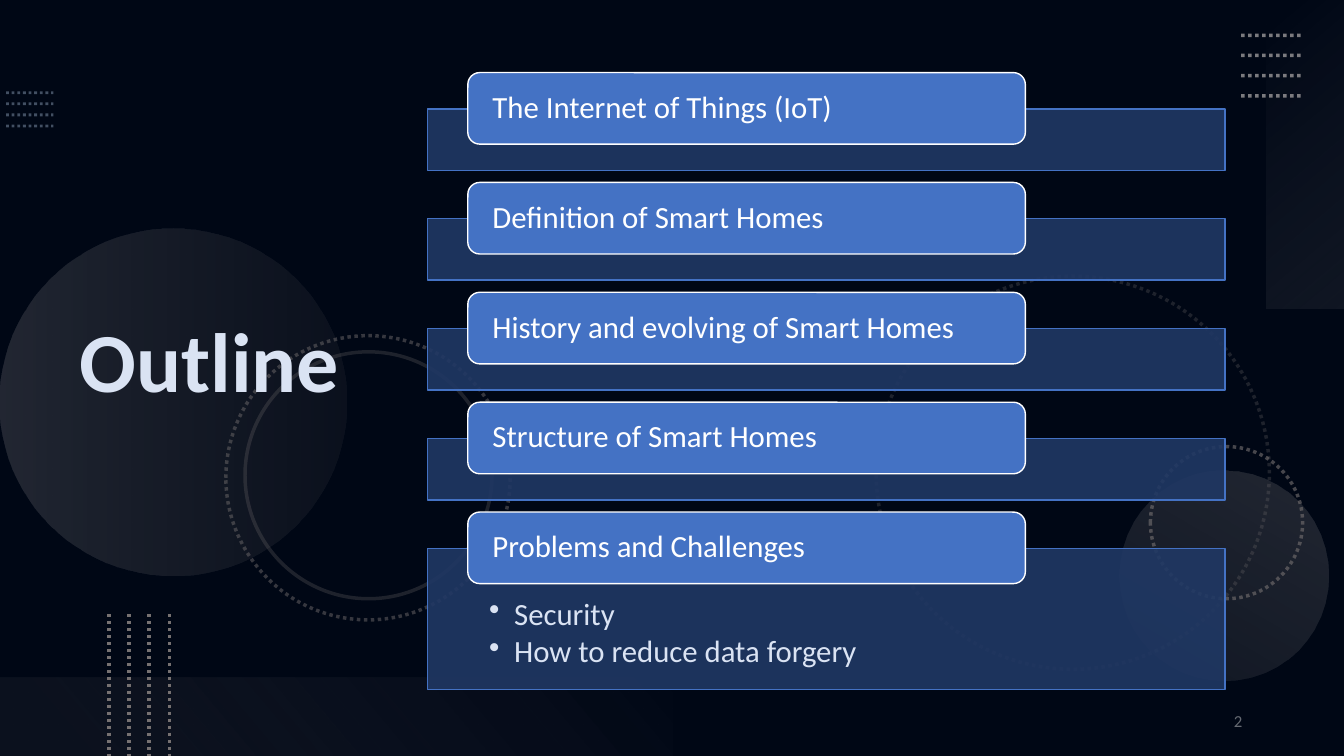
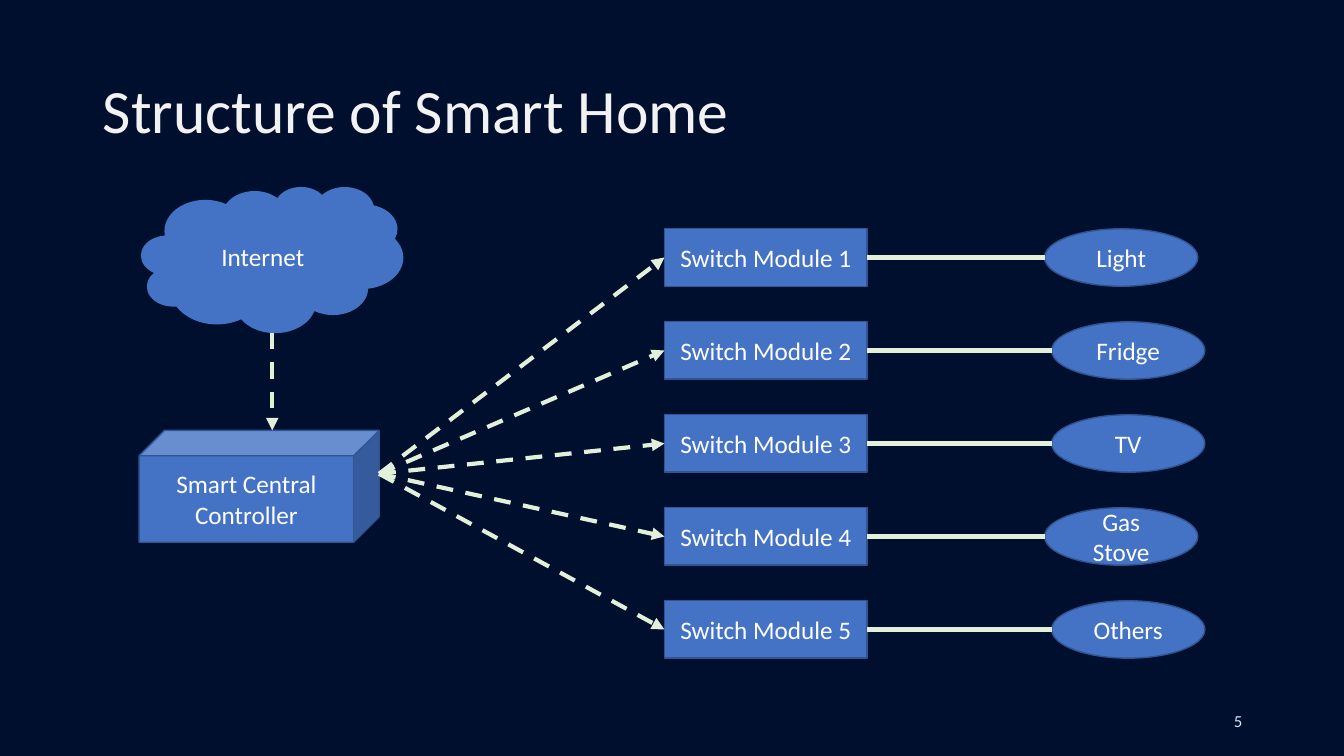
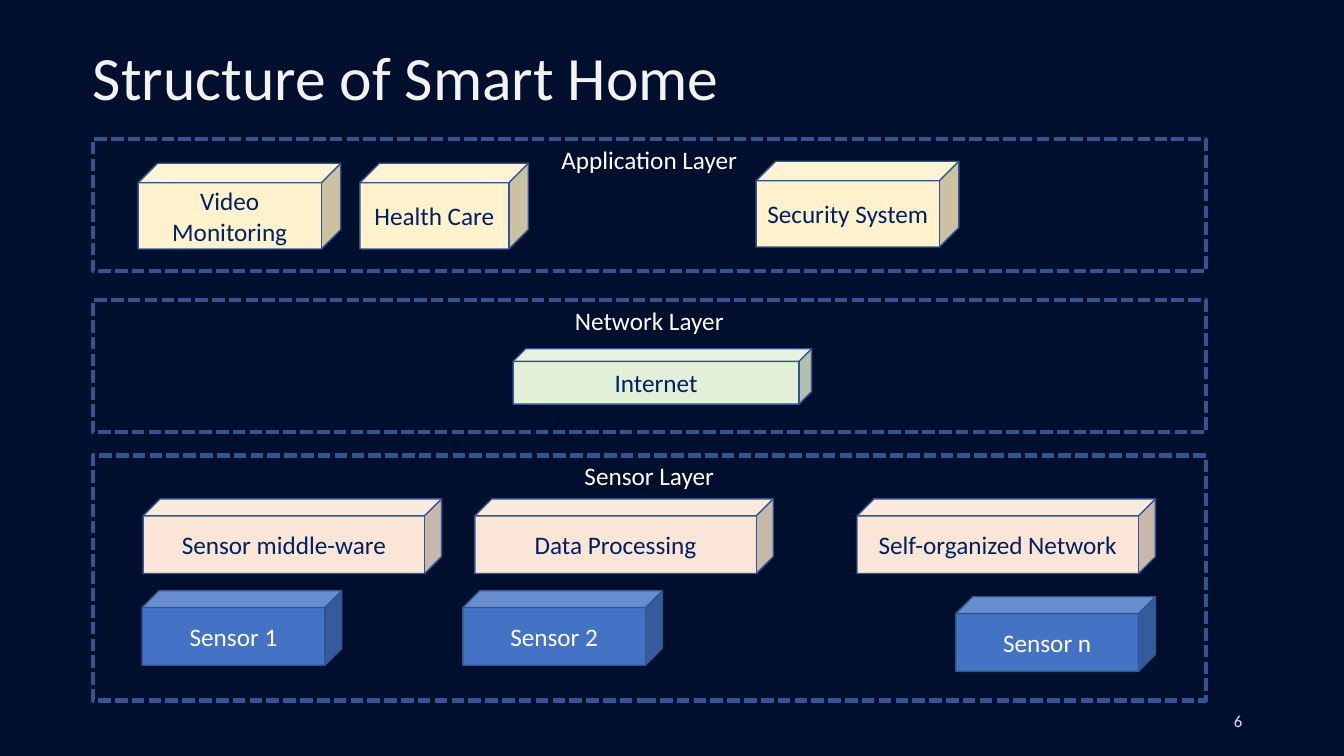
from pptx import Presentation
from pptx.dml.color import RGBColor
from pptx.enum.dml import MSO_LINE as DASH
from pptx.enum.shapes import MSO_CONNECTOR, MSO_SHAPE as SHAPE
from pptx.enum.text import MSO_ANCHOR as ANCHOR, PP_ALIGN as ALIGN
from pptx.oxml.ns import qn
from pptx.util import Emu, Pt
from lxml.etree import SubElement

PX = 9144
W, H = 1333, 750
FONT = "Calibri"
NAVY, BLUE, EDGE, BAR = "000F2E", "4472C4", "325491", "203864"
WHITE, TITLE, PALE, INK = "FFFFFF", "F2F2F2", "DAE3F3", "002060"
CREAM, GREEN, PEACH = "FFF2CC", "E2F0D9", "FBE5D6"
GRAY, SILVER, STEEL, SMOKE = "767171", "AFABAB", "8497B0", "F5F5F5"
CUBE_ADJ = [0.227]


def px(n):
    return Emu(round(n * PX))


def rgb(c):
    return RGBColor.from_string(c)


def set_alpha(el, *alphas):
    for clr, a in zip(el.iter(qn("a:srgbClr")), alphas):
        SubElement(clr, qn("a:alpha")).set("val", str(a * 1000))


def style_line(line, color, width, dash=None, alpha=100):
    line.color.rgb = rgb(color)
    line.width = Pt(width)
    if dash:
        line.dash_style = dash
    if alpha < 100:
        set_alpha(line._get_or_add_ln(), alpha)


def add_run(p, text, size, color, bold=False):
    r = p.add_run()
    r.text = text
    r.font.name, r.font.size, r.font.bold = FONT, Pt(size), bold
    r.font.color.rgb = rgb(color)


def write(sp, text, size=18, color=WHITE, align=ALIGN.CENTER, anchor=ANCHOR.MIDDLE,
          spacing=None, bold=False):
    tf = sp.text_frame
    tf.word_wrap = True
    tf.vertical_anchor = anchor
    p = tf.paragraphs[0]
    p.alignment = align
    if spacing:
        p.line_spacing = spacing
    add_run(p, text, size, color, bold)


def set_insets(tf, left, top, right, bottom):
    tf.margin_left, tf.margin_top = px(left), px(top)
    tf.margin_right, tf.margin_bottom = px(right), px(bottom)


def add_shape(s, kind, box, fill=None, alpha=100, line=None, adj=()):
    sp = s.shapes.add_shape(kind, *map(px, box))
    sp.shadow.inherit = False
    for i, a in enumerate(adj):
        sp.adjustments[i] = a
    if fill:
        sp.fill.solid()
        sp.fill.fore_color.rgb = rgb(fill)
        if alpha < 100:
            set_alpha(sp._element.spPr, alpha)
    else:
        sp.fill.background()
    if line:
        style_line(sp.line, *line)
    else:
        sp.line.fill.background()
    return sp


def add_gradient(s, kind, box, stops, angle):
    sp = add_shape(s, kind, box)
    sp.fill.gradient()
    sp.fill.gradient_angle = (360 - angle) % 360
    for stop, (pos, color, alpha) in zip(sp.fill.gradient_stops, stops):
        stop.position = pos
        stop.color.rgb = rgb(color)
    set_alpha(sp._element.spPr, *[alpha for pos, color, alpha in stops])


def add_node(s, kind, box, text, fill=BLUE, color=WHITE, adj=()):
    sp = add_shape(s, kind, box, fill, line=(EDGE, 1), adj=adj)
    write(sp, text, color=color)
    return sp


def add_line(s, start, end, *line, arrow=False):
    c = s.shapes.add_connector(MSO_CONNECTOR.STRAIGHT, *map(px, (*start, *end)))
    style_line(c.line, *line)
    if arrow:
        SubElement(c.line._get_or_add_ln(), qn("a:tailEnd")).set("type", "triangle")
    SubElement(c._element.spPr, qn("a:effectLst"))
    return c


def add_slide(prs, number):
    s = prs.slides.add_slide(prs.slide_layouts[5])
    sp = s.shapes.add_textbox(*map(px, (942, 695, 300, 40)))
    write(sp, number, 12, PALE, ALIGN.RIGHT)
    return s


def add_title(s, box, text, size=44, color=TITLE, bold=False):
    sp = s.shapes.title
    sp.left, sp.top, sp.width, sp.height = map(px, box)
    write(sp, text, size, color, ALIGN.LEFT, spacing=0.9, bold=bold)
    s.shapes._spTree.append(sp._element)


def add_decor(s):
    dot = DASH.ROUND_DOT
    add_shape(s, SHAPE.RECTANGLE, (0, 0, W, H), "000000", 53)
    for i in range(4):
        y = 92 + 11 * i
        add_line(s, (6, y), (53, y), STEEL, 2, dot, 50)
    add_gradient(s, SHAPE.OVAL, (0, 227, 344, 344), [(0, SILVER, 20), (1, GRAY, 10)], 0)
    add_gradient(s, SHAPE.OVAL, (1110, 467, 208, 208), [(0, SILVER, 10), (1, SILVER, 20)], 300)
    rings = [(869, 274, 390, dot, 25), (1141, 443, 151, dot, 60),
             (224, 333, 282, dot, 45), (243, 349, 245, None, 25)]
    for x, y, d, dash, alpha in rings:
        add_shape(s, SHAPE.OVAL, (x, y, d, d), line=(GRAY, 2.5, dash, alpha))
    add_gradient(s, SHAPE.RECTANGLE, (1256, 0, 77, 306), [(0, SMOKE, 0), (1, SILVER, 10)], 50)
    add_gradient(s, SHAPE.RECTANGLE, (0, 672, 667, 78), [(0.1, GRAY, 10), (1, SMOKE, 0)], 320)
    for i in range(4):
        x, y = 108 + 20 * i, 35 + 20 * i
        add_line(s, (1231, y), (1291, y), SILVER, 2.5, dot, 70)
        add_line(s, (x, 609), (x, H), GRAY, 2.5, dot)


def add_bullets(sp, items):
    tf = sp.text_frame
    tf.word_wrap = True
    tf.vertical_anchor = ANCHOR.TOP
    set_insets(tf, 61, 50, 61, 17)
    for i, text in enumerate(items):
        p = tf.paragraphs[0] if i == 0 else tf.add_paragraph()
        p.alignment, p.line_spacing, p.space_after = ALIGN.LEFT, 0.9, Pt(3)
        pPr = p._p.get_or_add_pPr()
        pPr.set("marL", str(px(25)))
        pPr.set("indent", str(px(-25)))
        SubElement(pPr, qn("a:buChar")).set("char", "•")
        add_run(p, text, 22, PALE)


def outline_slide(prs):
    s = add_slide(prs, "2")
    add_decor(s)
    add_title(s, (69, 54, 459, 617), "Outline", 60, PALE, True)
    topics = [
        ("The Internet of Things (IoT)", []),
        ("Definition of Smart Homes", []),
        ("History and evolving of Smart Homes", []),
        ("Structure of Smart Homes", []),
        ("Problems and Challenges", ["Security", "How to reduce data forgery"]),
    ]
    for i, (topic, details) in enumerate(topics):
        y = 108 + 109 * i
        bar = add_shape(s, SHAPE.RECTANGLE, (424, y, 791, 140 if details else 61),
                        BAR, 90, (BLUE, 1))
        if details:
            add_bullets(bar, details)
        label = add_shape(s, SHAPE.ROUNDED_RECTANGLE, (464, y - 36, 553, 71),
                          BLUE, line=(WHITE, 1))
        write(label, topic, 22, align=ALIGN.LEFT, spacing=0.9)
        set_insets(label.text_frame, 21, 0, 21, 0)


def modules_slide(prs):
    s = add_slide(prs, "5")
    add_title(s, (92, 40, 1150, 145), "Structure of Smart Home")
    cloud = add_shape(s, SHAPE.CLOUD_CALLOUT, (140, 185, 260, 145), BLUE, adj=[0.007, 0.15])
    write(cloud, "Internet")
    add_node(s, SHAPE.CUBE, (138, 427, 238, 111), "Smart Central Controller", adj=CUBE_ADJ)
    dashed = (GREEN, 3, DASH.DASH)
    add_line(s, (270, 330), (270, 427), *dashed, arrow=True)
    devices = [("Light", 1036), ("Fridge", 1043), ("TV", 1043), ("Gas Stove", 1036),
               ("Others", 1043)]
    for i, (device, x) in enumerate(devices):
        y = 227 + 92.25 * i
        mid = y + 28.5
        module = add_node(s, SHAPE.RECTANGLE, (659, y, 201, 57), f"Switch Module {i + 1}")
        add_node(s, SHAPE.OVAL, (x, y, 152, 57), device)
        control = add_line(s, (376, 470), (659, mid), *dashed, arrow=True)
        control.end_connect(module, 1)
        supply = add_line(s, (860, mid), (x, mid), GREEN, 3)
        supply.begin_connect(module, 3)


def layers_slide(prs):
    s = add_slide(prs, "6")
    add_title(s, (82, 35, 1150, 90), "Structure of Smart Home")
    layers = [
        ("Application Layer", 138, 131, CREAM, INK, [
            ("Video Monitoring", 137, 162, 201, 85),
            ("Health Care", 357, 162, 167, 85),
            ("Security System", 750, 160, 201, 85)]),
        ("Network Layer", 298, 131, GREEN, INK, [("Internet", 509, 346, 296, 55)]),
        ("Sensor Layer", 452, 243, PEACH, INK, [
            ("Sensor middle-ware", 142, 495, 296, 74),
            ("Data Processing", 471, 495, 296, 74),
            ("Self-organized Network", 850, 495, 296, 74)]),
    ]
    sensors = [("Sensor 1", 141, 586, 198, 74), ("Sensor 2", 459, 586, 198, 74),
               ("Sensor n", 948, 592, 198, 74)]
    for name, y, h, fill, color, cubes in layers:
        frame = add_shape(s, SHAPE.RECTANGLE, (92, y, 1104, h),
                          line=(EDGE, 3, DASH.SQUARE_DOT))
        write(frame, name, anchor=ANCHOR.TOP)
        for text, *box in cubes:
            add_node(s, SHAPE.CUBE, box, text, fill, color, CUBE_ADJ)
    for text, *box in sensors:
        add_node(s, SHAPE.CUBE, box, text, adj=CUBE_ADJ)


def main():
    prs = Presentation()
    prs.slide_width, prs.slide_height = px(W), px(H)
    background = prs.slide_master.background.fill
    background.solid()
    background.fore_color.rgb = rgb(NAVY)
    outline_slide(prs)
    modules_slide(prs)
    layers_slide(prs)
    prs.save("out.pptx")


if __name__ == "__main__":
    main()
